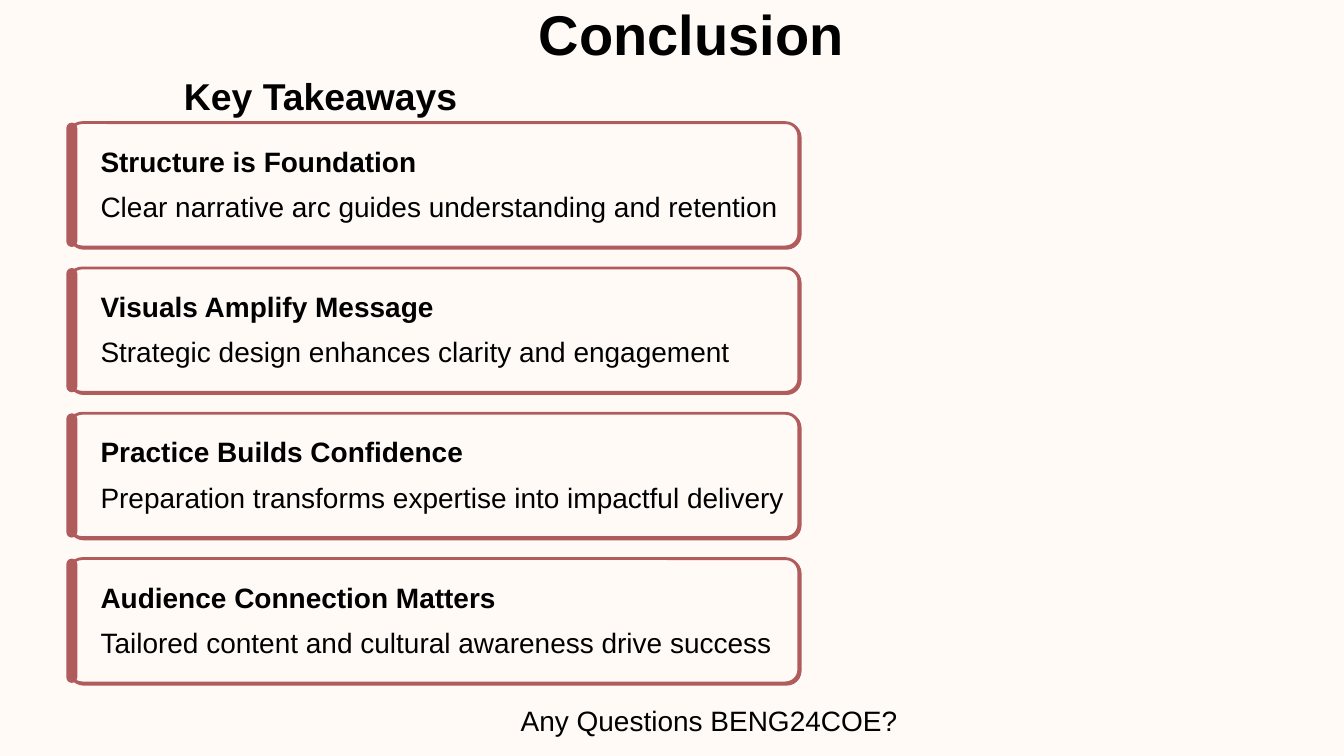
from lxml import etree
from pptx import Presentation
from pptx.dml.color import RGBColor
from pptx.enum.shapes import MSO_SHAPE
from pptx.enum.text import MSO_ANCHOR, MSO_AUTO_SIZE, PP_ALIGN
from pptx.oxml.ns import qn
from pptx.util import Inches, Pt

TITLE = "Conclusion"
HEADING = "Key Takeaways"
TAKEAWAYS = [
    ("Structure is Foundation", "Clear narrative arc guides understanding and retention"),
    ("Visuals Amplify Message", "Strategic design enhances clarity and engagement"),
    ("Practice Builds Confidence", "Preparation transforms expertise into impactful delivery"),
    ("Audience Connection Matters", "Tailored content and cultural awareness drive success"),
]
QUESTION = "Any Questions BENG24COE?"

CREAM, ROSE, BLACK = "FFFAF6", "B05B5C", "000000"
CARD_TOP, CARD_STEP, CARD_HEIGHT = 1.46, 1.73, 1.48


def color(value):
    return RGBColor.from_string(value)


def paint(fill, value):
    fill.solid()
    fill.fore_color.rgb = color(value)


def set_frame(frame, left=0, top=0):
    frame.margin_left, frame.margin_top = Inches(left), Inches(top)
    frame.margin_right = frame.margin_bottom = 0
    frame.word_wrap = True
    frame.auto_size = MSO_AUTO_SIZE.NONE
    frame.vertical_anchor = MSO_ANCHOR.TOP


def write(para, text, size, spacing, bold=False, align=PP_ALIGN.LEFT):
    para.text = text
    para.alignment = align
    para.line_spacing = Pt(spacing)
    font = para.font
    font.name, font.size, font.bold = "Arial", Pt(size), bold
    font.color.rgb = color(BLACK)


def add_rounded(page, left, top, width, radius, fill):
    box = page.shapes.add_shape(MSO_SHAPE.ROUNDED_RECTANGLE, Inches(left), Inches(top),
                                Inches(width), Inches(CARD_HEIGHT))
    box.adjustments[0] = radius
    box.shadow.inherit = False
    paint(box.fill, fill)
    return box


def add_hard_shadow(box):
    effects = box._element.spPr.find(qn("a:effectLst"))
    shadow = etree.SubElement(effects, qn("a:outerShdw"), blurRad="0", dist=str(Pt(1.6)),
                              dir="2700000", algn="tl", rotWithShape="0")
    etree.SubElement(shadow, qn("a:srgbClr"), val=ROSE)


def add_card(page, top, name, detail):
    card = add_rounded(page, 0.82, top, 8.69, 0.108, CREAM)
    card.line.color.rgb = color(ROSE)
    card.line.width = Pt(2.4)
    add_hard_shadow(card)
    frame = card.text_frame
    set_frame(frame, 0.33, 0.23)
    write(frame.paragraphs[0], name, 24, 27.5, bold=True)
    para = frame.add_paragraph()
    write(para, detail, 24, 28)
    para.space_before = Pt(10.7)

    bar = add_rounded(page, 0.79, top, 0.13, 0.5, ROSE)
    bar.line.fill.background()


def add_text(page, left, top, width, height, *style, **options):
    box = page.shapes.add_textbox(Inches(left), Inches(top), Inches(width), Inches(height))
    set_frame(box.text_frame)
    write(box.text_frame.paragraphs[0], *style, **options)


def main():
    deck = Presentation()
    deck.slide_width, deck.slide_height = Inches(16), Inches(9)
    page = deck.slides.add_slide(deck.slide_layouts[5])
    paint(page.background.fill, CREAM)

    title = page.shapes.title
    title.left, title.top = Inches(0.84), Inches(0.18)
    title.width, title.height = Inches(14.78), Inches(0.61)
    set_frame(title.text_frame)
    write(title.text_frame.paragraphs[0], TITLE, 48, 44, bold=True, align=PP_ALIGN.CENTER)

    add_text(page, 2.19, 0.79, 5, 0.61, HEADING, 32, 44, bold=True)
    for index, (name, detail) in enumerate(TAKEAWAYS):
        add_card(page, CARD_TOP + index * CARD_STEP, name, detail)
    add_text(page, 0.84, 8.38, 15.2, 0.43, QUESTION, 24, 28.5, align=PP_ALIGN.CENTER)

    deck.save("out.pptx")


if __name__ == "__main__":
    main()
